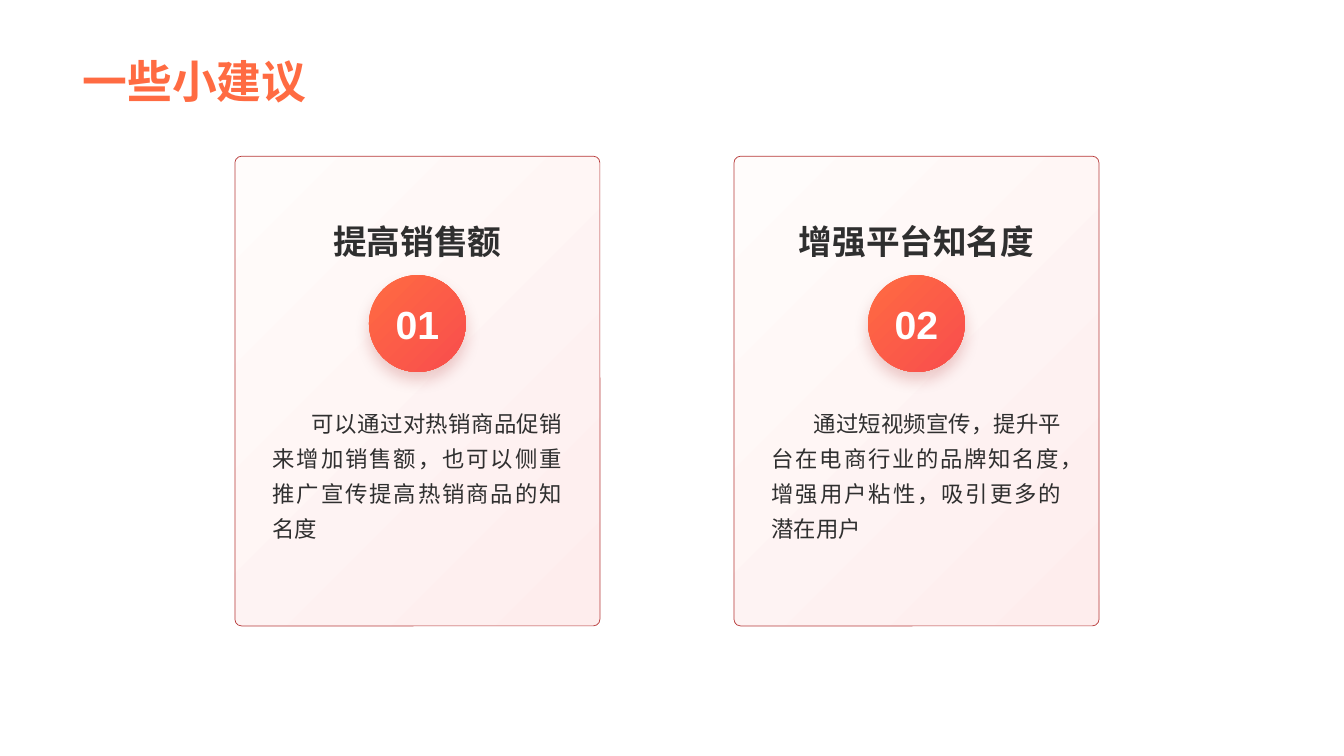
from dataclasses import dataclass

from lxml import etree
from pptx import Presentation
from pptx.dml.color import RGBColor
from pptx.enum.shapes import MSO_SHAPE
from pptx.enum.text import MSO_ANCHOR, PP_ALIGN
from pptx.oxml import parse_xml
from pptx.oxml.ns import nsdecls
from pptx.util import Inches, Pt

ROUNDED, OVAL = MSO_SHAPE.ROUNDED_RECTANGLE, MSO_SHAPE.OVAL
TOP, MIDDLE, BOTTOM = MSO_ANCHOR.TOP, MSO_ANCHOR.MIDDLE, MSO_ANCHOR.BOTTOM
LEFT, CENTER, JUSTIFY = PP_ALIGN.LEFT, PP_ALIGN.CENTER, PP_ALIGN.JUSTIFY


@dataclass(frozen=True)
class Theme:
    font: str = "Arial"
    accent: tuple = ("FF6B42", "F84D4D")
    card: tuple = ("FFFCFB", "FEEDED")
    border: str = "B73939"
    shadow: str = "9C0606"
    ink: str = "2F2F2F"
    white: str = "FFFFFF"
    title_size: int = 32
    number_size: int = 28
    heading_size: int = 24
    body_size: int = 16


theme = Theme()


def gradient_shape(kind, x, y, w, h, colors):
    sp = s.shapes.add_shape(kind, Inches(x), Inches(y), Inches(w), Inches(h))
    sp.shadow.inherit = False
    sp.fill.gradient()
    sp.fill.gradient_angle = 315
    for stop, color in zip(sp.fill.gradient_stops, colors):
        stop.color.rgb = RGBColor.from_string(color)
    return sp


def write(sp, text, size, color, bold=True, align=CENTER, anchor=TOP, wrap=True):
    tf = sp.text_frame
    tf.word_wrap = wrap
    tf.vertical_anchor = anchor
    p = tf.paragraphs[0]
    p.text = text
    p.alignment = align
    p.font.name = theme.font
    p.font.size = Pt(size)
    p.font.bold = bold
    p.font.color.rgb = RGBColor.from_string(color)
    return p


prs = Presentation()
prs.slide_width, prs.slide_height = Inches(13.33), Inches(7.5)
s = prs.slides.add_slide(prs.slide_layouts[6])

# Title
title = s.shapes.add_textbox(Inches(0.72), Inches(0), Inches(11.88), Inches(1.12))
p = write(title, "一些小建议", theme.title_size, theme.accent[0], align=LEFT, anchor=BOTTOM)
p.line_spacing = 0.9

# Cards: heading, advice, first-line indent
cards = [
    ("提高销售额", "可以通过对热销商品促销来增加销售额，也可以侧重推广宣传提高热销商品的知名度", 0.39),
    ("增强平台知名度", "通过短视频宣传，提升平台在电商行业的品牌知名度，增强用户粘性，吸引更多的潜在用户", 0.42),
]
card_left, card_w, card_pitch = 2.33, 3.62, 4.95
circle_d, body_w = 0.96, 3.07

for i, (heading, advice, indent) in enumerate(cards):
    x = card_left + i * card_pitch
    center = x + card_w / 2

    # Card panel
    panel = gradient_shape(ROUNDED, x, 1.55, card_w, 4.66, theme.card)
    panel.adjustments[0] = 0.018
    panel.line.color.rgb = RGBColor.from_string(theme.border)
    panel.line.width = Pt(0.5)

    # Heading
    box = s.shapes.add_textbox(Inches(x), Inches(2.14), Inches(card_w), Inches(0.51))
    write(box, heading, theme.heading_size, theme.ink, wrap=False)

    # Numbered circle with a soft shadow below
    circle = gradient_shape(OVAL, center - circle_d / 2, 2.73, circle_d, circle_d, theme.accent)
    circle.line.fill.background()
    effects = circle._element.spPr.find("{*}effectLst")
    effects.append(parse_xml(
        f'<a:outerShdw {nsdecls("a")} blurRad="{Pt(11)}" dist="{Pt(6)}" dir="5400000" '
        f'algn="t" rotWithShape="0"><a:srgbClr val="{theme.shadow}">'
        '<a:alpha val="20000"/></a:srgbClr></a:outerShdw>'))
    write(circle, f"{i + 1:02}", theme.number_size, theme.white, anchor=MIDDLE, wrap=False)

    # Advice
    box = s.shapes.add_textbox(Inches(center - body_w / 2), Inches(3.94), Inches(body_w), Inches(1.46))
    p = write(box, advice, theme.body_size, theme.ink, bold=False, align=JUSTIFY)
    p.line_spacing = 1.3
    p._p.get_or_add_pPr().set("indent", str(Inches(indent)))

prs.save("out.pptx")
